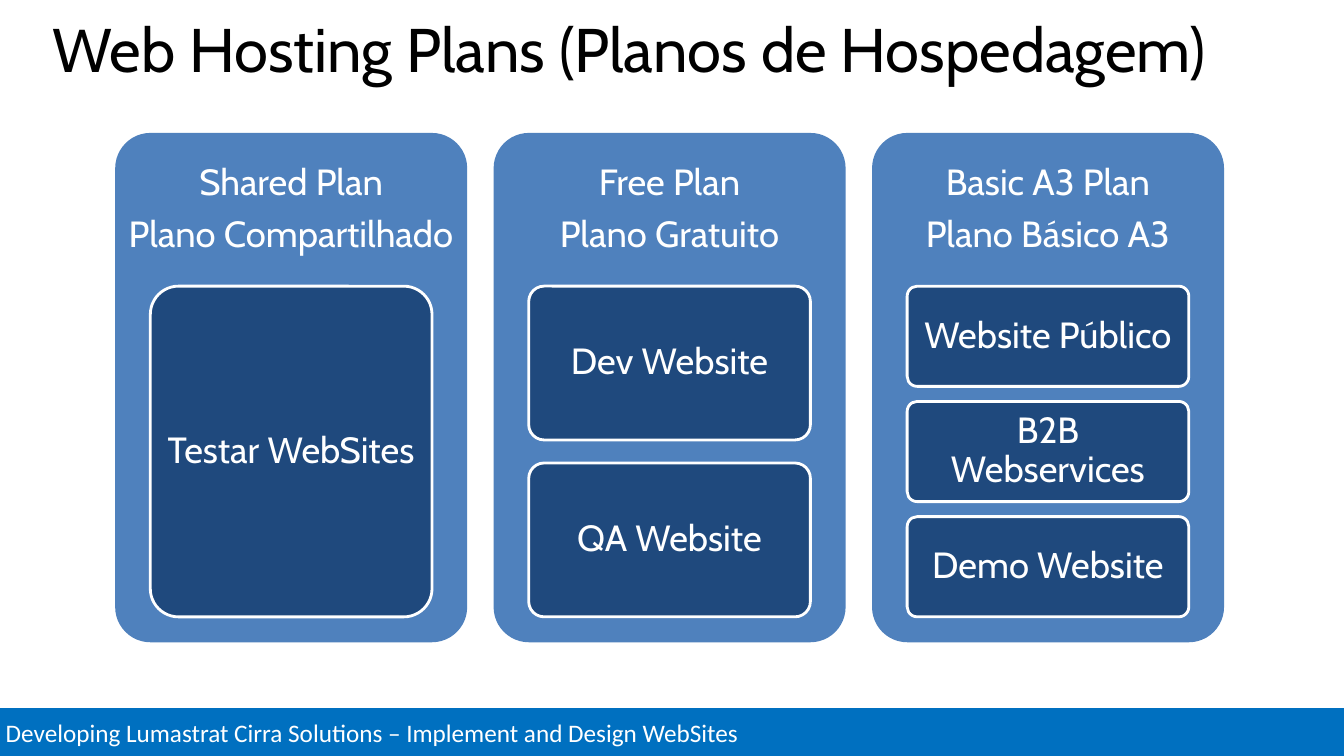
from dataclasses import dataclass

from pptx import Presentation
from pptx.dml.color import RGBColor
from pptx.enum import shapes, text
from pptx.util import Pt


@dataclass(frozen=True)
class Theme:
    panel: str = "4F81BD"
    card: str = "1F497D"
    bar: str = "0070C0"
    light: str = "FFFFFF"
    dark: str = "000000"
    head: str = "Cabin"
    body: str = "Calibri"
    big: int = 44
    mid: int = 26
    small: int = 18


class Deck:
    """Draws styled elements on the current slide."""

    def __init__(self, theme):
        self.theme = theme
        self.prs = Presentation()
        self.prs.slide_width, self.prs.slide_height = Pt(960), Pt(540)
        self.slide = self.prs.slides.add_slide(self.prs.slide_layouts[5])

    def label(self, shape, lines, size, font, color, align, space=1, after=0,
              pad=(7.2, 3.6, 7.2, 3.6), anchor=text.MSO_ANCHOR.MIDDLE):
        frame = shape.text_frame
        frame.word_wrap = True
        frame.auto_size = text.MSO_AUTO_SIZE.NONE
        frame.vertical_anchor = anchor
        frame.margin_left, frame.margin_top, frame.margin_right, frame.margin_bottom = map(Pt, pad)
        frame.text = "\n".join(lines)
        for par in frame.paragraphs:
            par.alignment = align
            par.line_spacing = space
            par.space_before, par.space_after = Pt(0), Pt(after)
            par.font.size, par.font.name = Pt(size), font
            par.font.color.rgb = RGBColor.from_string(color)

    def title(self, words):
        t, shape = self.theme, self.slide.shapes.title
        shape.left, shape.top, shape.width, shape.height = map(Pt, (30, 14.4, 907, 83.5))
        self.label(shape, [words], t.big, t.head, t.dark, text.PP_ALIGN.LEFT,
                   space=0.8, anchor=text.MSO_ANCHOR.TOP)

    def block(self, kind, box, fill, edge=True):
        shape = self.slide.shapes.add_shape(kind, *map(Pt, box))
        shape.shadow.inherit = False
        shape.fill.solid()
        shape.fill.fore_color.rgb = RGBColor.from_string(fill)
        if edge:
            shape.line.color.rgb = RGBColor.from_string(self.theme.light)
            shape.line.width = Pt(2)
        else:
            shape.line.fill.background()
        return shape

    def bar(self, words):
        t = self.theme
        shape = self.block(shapes.MSO_SHAPE.RECTANGLE, (-3, 505, 965, 36.5), t.bar)
        self.label(shape, [words], t.small, t.body, t.light, text.PP_ALIGN.LEFT)

    def tile(self, box, fill, lines, pad, edge=True):
        t = self.theme
        shape = self.block(shapes.MSO_SHAPE.ROUNDED_RECTANGLE, box, fill, edge)
        shape.adjustments[0] = 0.1
        self.label(shape, lines, t.mid, t.head, t.light, text.PP_ALIGN.CENTER,
                   space=0.9, after=9, pad=pad)

    def plan(self, left, names, sites):
        t = self.theme
        self.tile((left, 95, 251.4, 363.8), t.panel, names, (0.5, 0.6, 0.5, 255), edge=False)
        ratio = 0.15
        high = 236.2 / (len(sites) + ratio * (len(sites) - 1))
        for i, site in enumerate(sites):
            top = 204.4 + i * high * (1 + ratio)
            self.tile((left + 25.1, top, 201.2, high), t.card, [site], (5, 3.6, 5, 3.6))


PLANS = [
    (["Shared Plan", "Plano Compartilhado"], ["Testar WebSites"]),
    (["Free Plan", "Plano Gratuito"], ["Dev Website", "QA Website"]),
    (["Basic A3 Plan", "Plano Básico A3"],
     ["Website Público", "B2B Webservices", "Demo Website"]),
]


def main():
    deck = Deck(Theme())
    deck.bar("Developing Lumastrat Cirra Solutions – Implement and Design WebSites")
    deck.title("Web Hosting Plans (Planos de Hospedagem)")
    for i, (names, sites) in enumerate(PLANS):
        deck.plan(82.3 + i * 270.3, names, sites)
    deck.prs.save("out.pptx")


if __name__ == "__main__":
    main()
